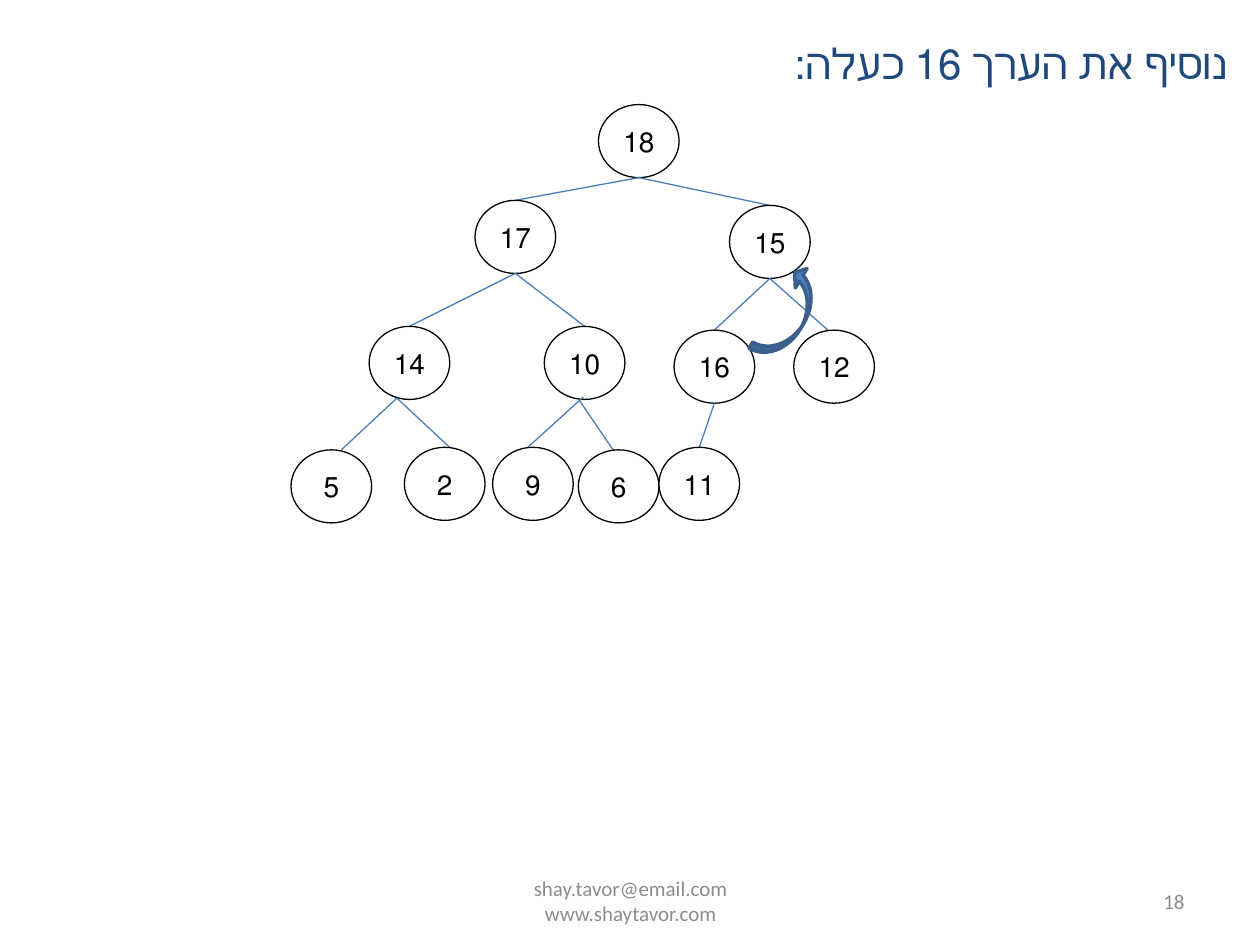
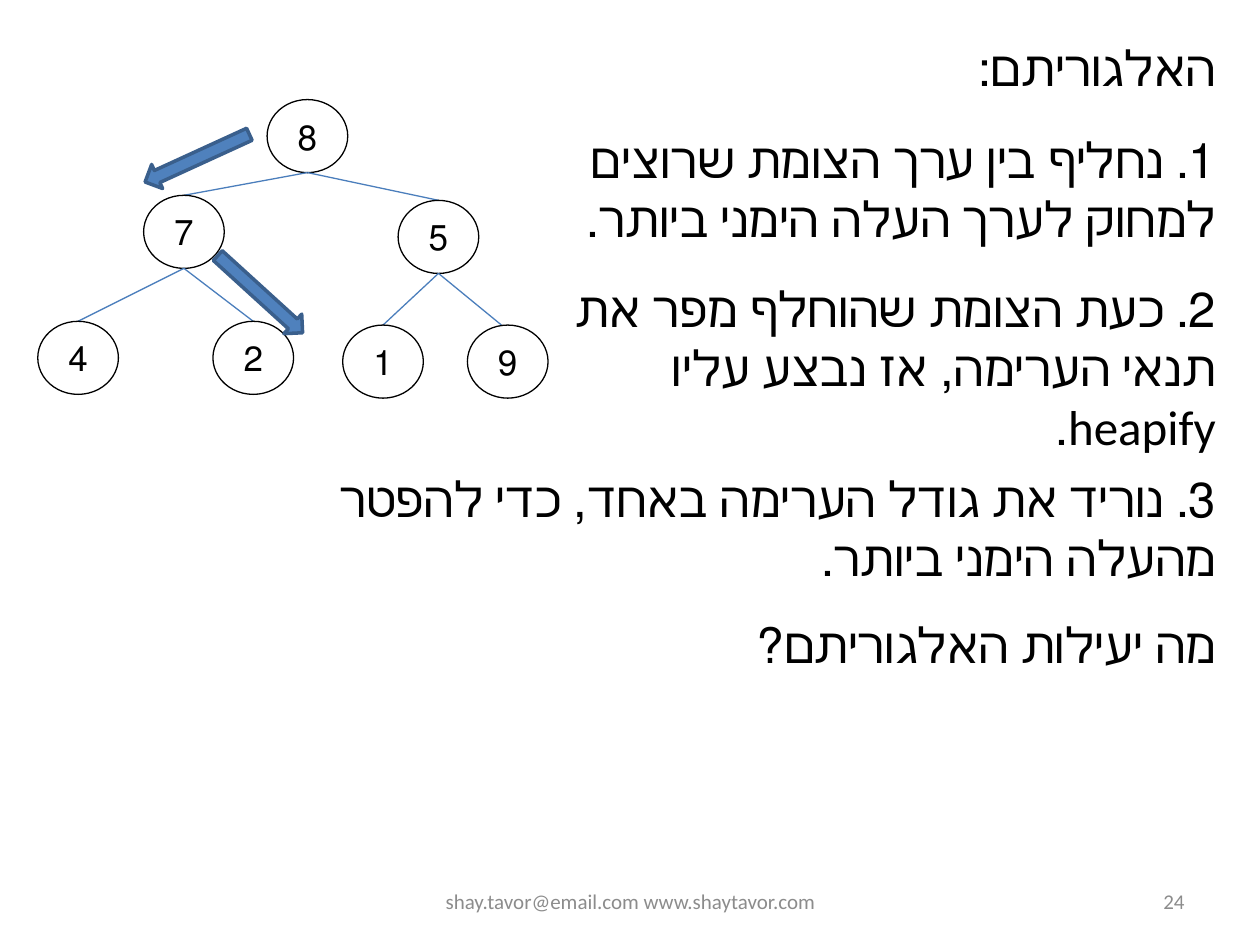
"""Two slides about heaps: adding a value and deleting a value."""
from pptx import Presentation
from pptx.dml.color import RGBColor
from pptx.enum import shapes as kinds, text as words
from pptx.oxml import ns, xmlchemy as xml
from pptx.util import Inches, Pt

BLACK, WHITE, GREY, NAVY = "000000", "FFFFFF", "8C8C8C", "1F497D"
BLUE, EDGE, LINK = "4F81BD", "3A5F8C", "4B7EBC"
BODY, NODE, HEBREW = "Calibri", "Arial", "+mn-cs"
WIDE, HIGH = 0.64, 0.58
MAIL = "shay.tavor@email.com"
SITE = "www.shaytavor.com"

# Left and top of each node in heap order, measured from the root.
TOP = [(0, 0), (-0.98, 0.76), (1.04, 0.8),
       (-1.82, 1.76), (-0.43, 1.76), (0.6, 1.79), (1.55, 1.79)]
LEAVES = [(-2.44, 2.74), (-1.54, 2.72), (-0.84, 2.72),
          (-0.16, 2.74), (0.48, 2.72)]
# Shifts of a link's start and end away from the node centres, by child.
SHIFTS = {6: (0, 0, -0.05, 0),
          7: (-0.1, -0.01, 0.08, 0),
          8: (-0.1, -0.01, 0.06, 0.02),
          9: (-0.01, -0.02, -0.04, 0),
          10: (-0.04, 0.01, 0.01, 0.08)}


def paint(color, code):
    """Set a fill, line or font colour from a hex string."""
    color.rgb = RGBColor.from_string(code)


def write(frame, *lines, size=28, font=BODY, color=BLACK, align="RIGHT",
          anchor="TOP", rtl=True, gap=0, left=0.1, right=0.1, wrap=True):
    """Fill a text frame with one formatted paragraph per line."""
    frame.word_wrap = wrap
    frame.auto_size = words.MSO_AUTO_SIZE.NONE
    frame.vertical_anchor = words.MSO_ANCHOR[anchor]
    frame.margin_left, frame.margin_right = Inches(left), Inches(right)
    for i, line in enumerate(lines):
        para = frame.add_paragraph() if i else frame.paragraphs[0]
        para.text = line
        para.alignment = words.PP_ALIGN[align]
        para.space_before = Pt(gap if i else 0)
        props = para._p.get_or_add_pPr()
        if rtl:
            props.set("rtl", "1")
        props.set("marL", "0")
        props.set("indent", "0")
        props.append(xml.OxmlElement("a:buNone"))
        for run in para.runs:
            run.font.size = Pt(size)
            run.font.name = font
            paint(run.font.color, color)
            script = xml.OxmlElement("a:cs")
            script.set("typeface", HEBREW)
            run.font._element.find(ns.qn("a:latin")).addnext(script)


def place(item, left, top, width, height):
    """Move and size a placeholder."""
    item.left, item.top = Inches(left), Inches(top)
    item.width, item.height = Inches(width), Inches(height)
    return item.text_frame


def label(slide, content, left, top, width, height, **style):
    """Add a text box."""
    box = slide.shapes.add_textbox(
        Inches(left), Inches(top), Inches(width), Inches(height))
    write(box.text_frame, content, **style)


def shape(slide, kind, left, top, width, height, fill, line, weight):
    """Add a filled and outlined preset shape."""
    item = slide.shapes.add_shape(
        kinds.MSO_SHAPE[kind],
        Inches(left), Inches(top), Inches(width), Inches(height))
    item.shadow.inherit = False
    item.fill.solid()
    paint(item.fill.fore_color, fill)
    paint(item.line.color, line)
    item.line.width = Pt(weight)
    return item


def node(slide, value, left, top, size):
    """Add a round tree node with its value."""
    item = shape(slide, "OVAL", left, top, WIDE, HIGH, WHITE, BLACK, 0.75)
    write(item.text_frame, value, size=size, font=NODE, align="CENTER",
          anchor="MIDDLE", left=0, right=0, wrap=False)


def link(slide, *ends):
    """Add a thin line between two points."""
    item = slide.shapes.add_connector(
        kinds.MSO_CONNECTOR.STRAIGHT, *[Inches(end) for end in ends])
    paint(item.line.color, LINK)
    item.line.width = Pt(0.75)
    item._element.spPr.append(xml.OxmlElement("a:effectLst"))


def tree(slide, values, spots, left, top, size):
    """Draw a heap, each node joined to its parent."""
    spots = [(left + x, top + y) for x, y in spots]
    for i, (value, (x, y)) in enumerate(zip(values, spots)):
        if i:
            px, py = spots[(i - 1) // 2]
            ends = (px + WIDE / 2, py + HIGH, x + WIDE / 2, y)
            shifts = SHIFTS.get(i, (0, 0, 0, 0))
            link(slide, *[a + b for a, b in zip(ends, shifts)])
        node(slide, value, x, y, size)


def arrow(slide, kind, left, top, width, height, turn):
    """Add a turned block arrow."""
    item = shape(slide, kind, left, top, width, height, BLUE, EDGE, 2)
    item.rotation = turn
    return item


def footer(slide, contact, number):
    """Add the contact line and the slide number."""
    style = dict(size=12, color=GREY, anchor="MIDDLE", rtl=False)
    label(slide, contact, 3.42, 6.95, 3.17, 0.4, align="CENTER", **style)
    label(slide, number, 7.17, 6.95, 2.33, 0.4, **style)


def insert(deck):
    """Build the slide that adds 16 as a leaf."""
    slide = deck.slides.add_slide(deck.slide_layouts.get_by_name("Title Only"))
    write(place(slide.shapes.title, 5.67, 0.25, 4.17, 0.5),
          "נוסיף את הערך 16 כעלה:", size=24, color=NAVY)
    values = "18 17 15 14 10 16 12 5 2 9 6 11".split()
    tree(slide, values, TOP + LEAVES, 4.75, 0.83, 16)
    bend = arrow(slide, "CURVED_LEFT_ARROW", 6.13, 2.1, 0.27, 0.79, 31.1)
    bend._element.spPr.xfrm.set("flipV", "1")
    for i, value in enumerate((0.208, 0.667, 0.25)):
        bend.adjustments[i] = value
    footer(slide, MAIL + "\v" + SITE, "18")


def delete(deck):
    """Build the slide with the steps for deleting a value."""
    slide = deck.slides.add_slide(deck.slide_layouts.get_by_name("Two Content"))
    title, first, last = slide.placeholders
    write(place(title, 7.67, 0.25, 2.08, 0.57), "האלגוריתם:", left=0)
    write(place(first, 4.36, 0.98, 5.39, 2.71),
          "1. נחליף בין ערך הצומת שרוצים למחוק לערך העלה הימני ביותר.",
          "2. כעת הצומת שהוחלף מפר את תנאי הערימה, אז נבצע עליו heapify.",
          gap=18, left=0)
    write(place(last, 1.78, 3.67, 7.97, 1.73),
          "3. נוריד את גודל הערימה באחד, כדי להפטר מהעלה הימני ביותר.",
          "מה יעילות האלגוריתם?", gap=16)
    tree(slide, "8754219", TOP[:6] + [(1.59, 1.79)], 2.12, 0.79, 20)
    arrow(slide, "RIGHT_ARROW", 1.11, 1.15, 0.91, 0.21, 155.4)
    arrow(slide, "RIGHT_ARROW", 1.61, 2.23, 0.91, 0.21, 42.3)
    footer(slide, MAIL + " " + SITE, "24")


def main():
    """Build and save the deck."""
    deck = Presentation()
    deck.slide_width, deck.slide_height = Inches(10), Inches(7.5)
    insert(deck)
    delete(deck)
    deck.save("out.pptx")


main()
